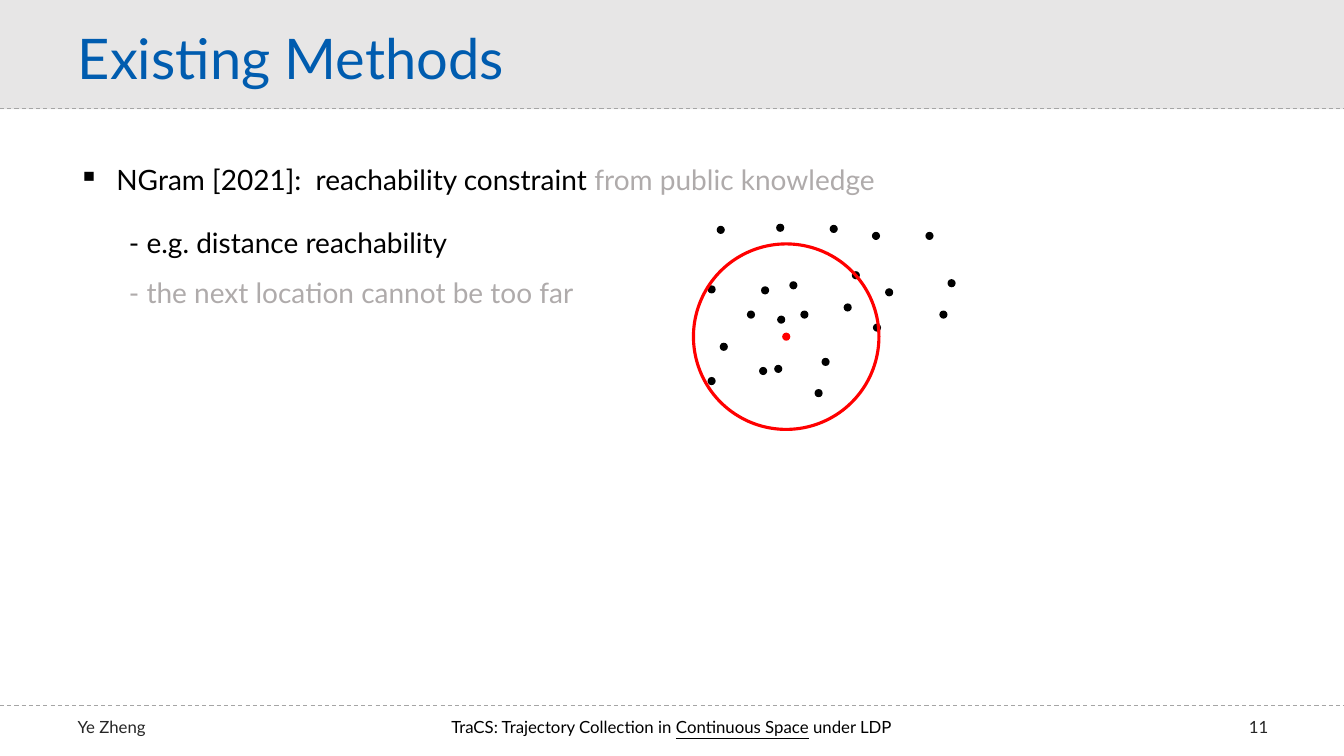
from lxml import etree
from pptx import Presentation
from pptx.dml.color import RGBColor
from pptx.enum.dml import MSO_LINE
from pptx.enum.shapes import MSO_CONNECTOR, MSO_SHAPE
from pptx.enum.text import MSO_ANCHOR, PP_ALIGN
from pptx.oxml.ns import qn
from pptx.util import Pt

RECT, OVAL = MSO_SHAPE.RECTANGLE, MSO_SHAPE.OVAL
LEFT, MID, RIGHT = PP_ALIGN.LEFT, PP_ALIGN.CENTER, PP_ALIGN.RIGHT
COLORS = {"band": "E7E6E6", "title": "005CAF", "rule": "A5A5A5", "foot": "262626",
          "black": "000000", "gray": "AFABAB", "red": "FF0000"}
INK = {name: RGBColor.from_string(code) for name, code in COLORS.items()}
WIDE, HIGH = 960, 540

deck = Presentation()
deck.slide_width, deck.slide_height = Pt(WIDE), Pt(HIGH)
slide = deck.slides.add_slide(deck.slide_layouts[6])


def add_text(box, runs, size, align=LEFT, indent=0, hang=0, bullet=None):
    """Write one paragraph of (text, color) runs in a box (left, top, width, height)."""
    frame = slide.shapes.add_textbox(*map(Pt, box)).text_frame
    frame.word_wrap = True
    frame.vertical_anchor = MSO_ANCHOR.MIDDLE
    para = frame.paragraphs[0]
    para.alignment = align
    props = para._p.get_or_add_pPr()
    props.set("marL", str(Pt(indent)))
    props.set("indent", str(Pt(-hang)))
    if bullet:
        etree.SubElement(props, qn("a:buChar")).set("char", bullet)
    para.font.name, para.font.size = "Lato", Pt(size)
    for words, color in runs:
        run = para.add_run()
        run.text = words
        run.font.color.rgb = INK[color]
    return para


def add_shape(kind, box, fill=None, line=None):
    shape = slide.shapes.add_shape(kind, *map(Pt, box))
    shape.shadow.inherit = False
    if fill:
        shape.fill.solid()
        shape.fill.fore_color.rgb = INK[fill]
    else:
        shape.fill.background()
    if line:
        shape.line.color.rgb = INK[line]
        shape.line.width = Pt(2.25)
    else:
        shape.line.fill.background()


# Header band and title
add_shape(RECT, (0, 0, WIDE, 78), fill="band")
add_text((48.5, 13, 804, 55.5), [("Existing Methods", "title")], 40)

# Dashed rules
for y in (77.4, 504):
    rule = slide.shapes.add_connector(MSO_CONNECTOR.STRAIGHT, 0, Pt(y), Pt(WIDE), Pt(y))
    rule.line.color.rgb = INK["rule"]
    rule.line.width = Pt(0.75)
    rule.line.dash_style = MSO_LINE.DASH
    etree.SubElement(rule._element.spPr, qn("a:effectLst"))

# Footer
FOOT = 508.5, 21.8
add_text((48.3, FOOT[0], 176, FOOT[1]), [("Ye Zheng", "foot")], 12)
talk = add_text((210, FOOT[0], 539.3, FOOT[1]),
                [("TraCS: Trajectory Collection in ", "black"),
                 ("Continuous Space", "black"), (" under LDP", "black")], 12, MID)
talk.runs[1].font.underline = True
add_text((751, FOOT[0], 162, FOOT[1]), [("11", "foot")], 12, RIGHT)

# Bullet and its two sub-points
add_text((49, 112.5, 639, 31.5),
         [("NGram [2021]:  reachability constraint ", "black"),
          ("from public knowledge", "gray")], 20, indent=27, hang=27, bullet="▪")
for top, words, color in ((157, "- e.g. distance reachability", "black"),
                          (193.3, "- the next location cannot be too far", "gray")):
    add_text((49, top, 639, 31.5), [(words, color)], 20, indent=36)

# Locations, given by their centers
DOT = 5.8
HUB = 561.6, 240.5
SPOTS = [(508.3, 272.2), (517, 247.7), (555.9, 263.5), (508.3, 206.7), (546.5, 207.4),
         (514.8, 164.2), (545.1, 265), (589.7, 258.5), (584.7, 280.8), (536.4, 224.7),
         (574.6, 224.7), (558, 228.3), (566.7, 203.8), (611.3, 196.6), (605.5, 219.6),
         (557.3, 162.7), (595.5, 163.5), (626.4, 234), (635.1, 208.8), (679.7, 202.3),
         (673.9, 224.7), (625.7, 168.5), (663.9, 168.5)]
for x, y in SPOTS + [HUB]:
    add_shape(OVAL, (x - DOT / 2, y - DOT / 2, DOT, DOT),
              fill="red" if (x, y) == HUB else "black")

# Reach around the current location
REACH = 66.25
add_shape(OVAL, (HUB[0] - REACH, HUB[1] - REACH, 2 * REACH, 2 * REACH), line="red")

deck.save("out.pptx")
